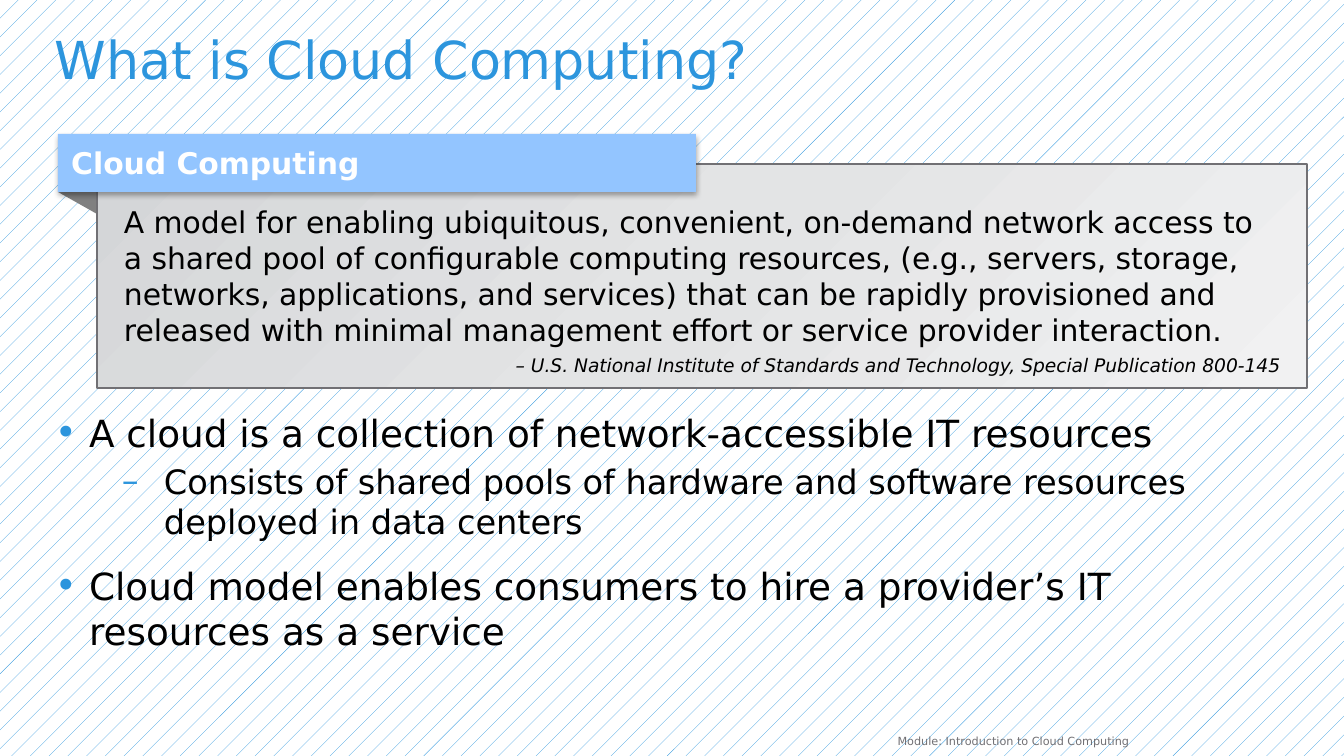
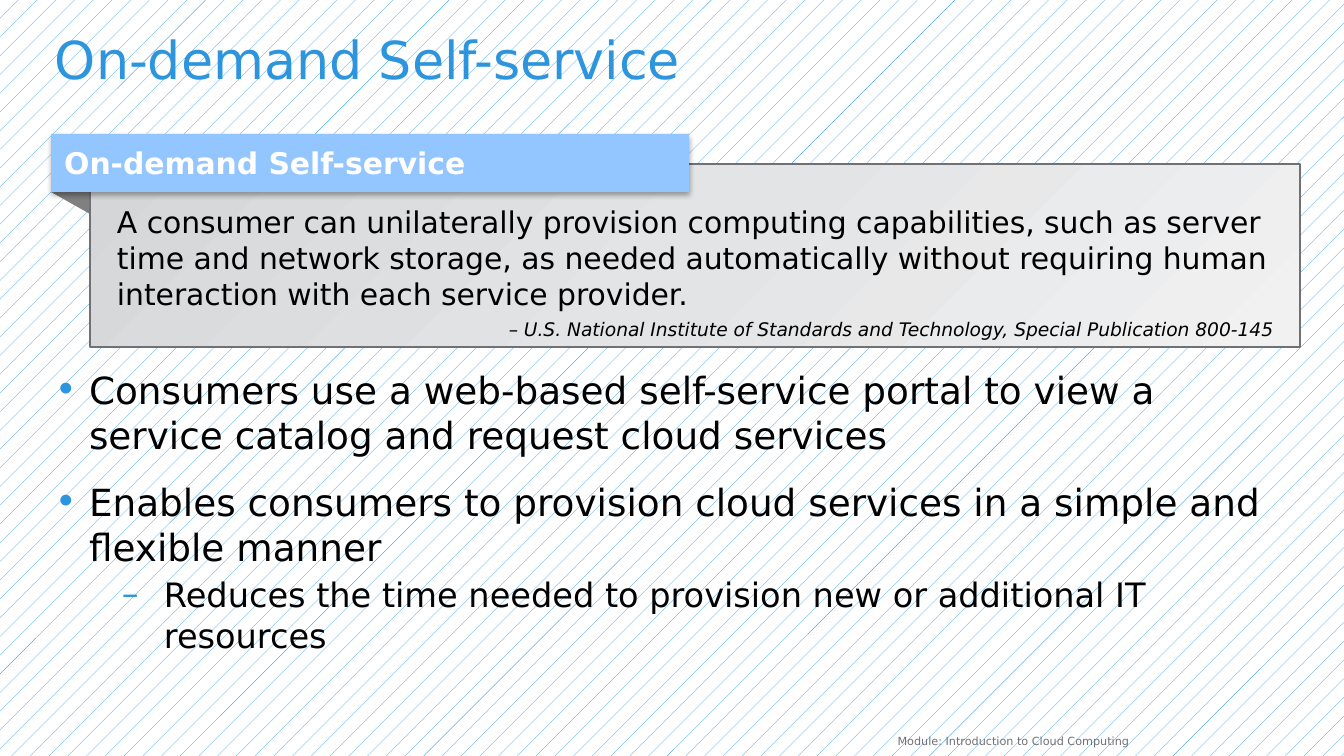
from dataclasses import dataclass

from lxml.etree import SubElement
from pptx import Presentation
from pptx.dml.color import RGBColor
from pptx.enum.dml import MSO_PATTERN
from pptx.enum.shapes import MSO_SHAPE
from pptx.enum.text import MSO_ANCHOR, MSO_AUTO_SIZE, PP_ALIGN
from pptx.oxml import parse_xml
from pptx.oxml.ns import nsdecls, qn
from pptx.util import Emu, Pt

SCALE = 914400 / 134.4
WIDE, HIGH = 1344, 756
FONT = "DejaVu Sans"
BLUE, SKY, WHITE, BLACK = "2C95DD", "93C5FF", "FFFFFF", "000000"
GRAY, FOLD = "717074", "808080"
FADE = ((0, "D4D6D8"), (50, "E3E4E5"), (100, "F1F1F2"))
SOURCE = ("– U.S. National Institute of Standards and Technology, "
          "Special Publication 800-145")
FOOTER = "Module: Introduction to Cloud Computing"
LEFT, SPAN = 55, 1243
TAB_TOP, TAB_WIDE, TAB_HIGH = 134, 638, 58
PANEL_TOP, PANEL_WIDE, SHIFT, DROP = 164, 1210, 39, 22


@dataclass(frozen=True)
class Style:
    """Look of one list level."""
    mark: str
    size: int
    left: int
    hang: int
    gap: int


@dataclass(frozen=True)
class Item:
    text: str
    level: int = 0


@dataclass(frozen=True)
class Quote:
    """Definition panel with a folded title tab."""
    head: str
    text: str
    left: int
    high: int


@dataclass(frozen=True)
class Page:
    title: str
    quote: Quote
    top: int
    high: int
    items: tuple[Item, ...]


STYLES = (Style("•", 20, 34, 34, 12), Style("–", 18, 109, 42, 3))

PAGES = (
    Page(
        "What is Cloud Computing?",
        Quote(
            "Cloud Computing",
            "A model for enabling ubiquitous, convenient, on-demand network "
            "access to a shared pool of configurable computing resources, "
            "(e.g., servers, storage, networks, applications, and services) "
            "that can be rapidly provisioned and released with minimal "
            "management effort or service provider interaction.",
            58, 224),
        410, 239,
        (Item("A cloud is a collection of network-accessible IT resources"),
         Item("Consists of shared pools of hardware and software resources "
              "deployed in data centers", 1),
         Item("Cloud model enables consumers to hire a provider’s IT "
              "resources as a service"))),
    Page(
        "On-demand Self-service",
        Quote(
            "On-demand Self-service",
            "A consumer can unilaterally provision computing capabilities, "
            "such as server time and network storage, as needed "
            "automatically without requiring human interaction with each "
            "service provider.",
            51, 183),
        367, 282,
        (Item("Consumers use a web-based self-service portal to view a "
              "service catalog and request cloud services"),
         Item("Enables consumers to provision cloud services in a simple "
              "and flexible manner"),
         Item("Reduces the time needed to provision new or additional IT "
              "resources", 1))),
)


def px(num: int) -> Emu:
    return Emu(round(num * SCALE))


def tint(code: str) -> RGBColor:
    return RGBColor.from_string(code)


def write(para, text: str, size: int, color: str, align=PP_ALIGN.LEFT,
          bold: bool = False, slant: bool = False) -> None:
    para.text = text
    para.alignment = align
    font = para.font
    font.name, font.size = FONT, Pt(size)
    font.bold, font.italic = bold, slant
    font.color.rgb = tint(color)


def inset(frame, left: int, top: int, right: int, low: int) -> None:
    frame.margin_left, frame.margin_top = px(left), px(top)
    frame.margin_right, frame.margin_bottom = px(right), px(low)


def place(holder, top: int, high: int):
    """Move a placeholder and return its plain, top-aligned frame."""
    holder.left, holder.top = px(LEFT), px(top)
    holder.width, holder.height = px(SPAN), px(high)
    frame = holder.text_frame
    frame.word_wrap = True
    frame.auto_size = MSO_AUTO_SIZE.NONE
    frame.vertical_anchor = MSO_ANCHOR.TOP
    inset(frame, 0, 0, 0, 0)
    return frame


def bullet(para, style: Style) -> None:
    props = para._p.get_or_add_pPr()
    props.set("marL", str(px(style.left)))
    props.set("indent", str(-px(style.hang)))
    color = SubElement(props, qn("a:buClr"))
    SubElement(color, qn("a:srgbClr"), val=BLUE)
    SubElement(props, qn("a:buFont"), typeface=FONT)
    SubElement(props, qn("a:buChar"), char=style.mark)


def fill_list(frame, items: tuple[Item, ...]) -> None:
    for num, item in enumerate(items):
        para = frame.add_paragraph() if num else frame.paragraphs[0]
        style = STYLES[item.level]
        para.level = item.level
        bullet(para, style)
        para.space_before = Pt(style.gap if num else 0)
        write(para, item.text, style.size, BLACK)


def add_rect(shapes, left: int, top: int, wide: int, high: int):
    rect = shapes.add_shape(MSO_SHAPE.RECTANGLE, px(left), px(top),
                            px(wide), px(high))
    rect.shadow.inherit = False
    rect.text_frame.word_wrap = True
    return rect


def fade(shape) -> None:
    """Fill a shape with the diagonal gray gradient."""
    stops = "".join(
        f'<a:gs pos="{pos * 1000}"><a:srgbClr val="{code}"/></a:gs>'
        for pos, code in FADE)
    grad = parse_xml(f'<a:gradFill {nsdecls("a")}><a:gsLst>{stops}</a:gsLst>'
                     '<a:lin ang="2700000" scaled="0"/></a:gradFill>')
    shape.element.spPr.find(qn("a:prstGeom")).addnext(grad)


def cast(shape) -> None:
    """Give a shape a soft shadow below it."""
    effect = shape.element.spPr.find(qn("a:effectLst"))
    outer = SubElement(effect, qn("a:outerShdw"), blurRad=str(Pt(3.1)),
                       dist=str(Pt(1.8)), dir="5400000", rotWithShape="0")
    color = SubElement(outer, qn("a:srgbClr"), val=BLACK)
    SubElement(color, qn("a:alpha"), val="35000")


def add_fold(shapes, left: int) -> None:
    top = TAB_TOP + TAB_HIGH
    path = shapes.build_freeform(px(left), px(top))
    path.add_line_segments([(px(left + SHIFT), px(top)),
                            (px(left + SHIFT), px(top + DROP))])
    fold = path.convert_to_shape()
    fold.shadow.inherit = False
    fold.fill.solid()
    fold.fill.fore_color.rgb = tint(FOLD)
    fold.line.fill.background()


def add_quote(slide, quote: Quote) -> None:
    shapes = slide.shapes.add_group_shape().shapes
    add_fold(shapes, quote.left)

    panel = add_rect(shapes, quote.left + SHIFT, PANEL_TOP,
                     PANEL_WIDE, quote.high)
    fade(panel)
    panel.line.color.rgb = tint(GRAY)
    panel.line.width = Pt(1)
    frame = panel.text_frame
    frame.vertical_anchor = MSO_ANCHOR.TOP
    inset(frame, 27, 40, 27, 7)
    write(frame.paragraphs[0], quote.text, 16, BLACK)
    credit = frame.add_paragraph()
    credit.space_before = Pt(3.5)
    write(credit, SOURCE, 10, BLACK, PP_ALIGN.RIGHT, slant=True)

    tab = add_rect(shapes, quote.left, TAB_TOP, TAB_WIDE, TAB_HIGH)
    tab.fill.solid()
    tab.fill.fore_color.rgb = tint(SKY)
    tab.line.fill.background()
    cast(tab)
    tab.text_frame.vertical_anchor = MSO_ANCHOR.MIDDLE
    write(tab.text_frame.paragraphs[0], quote.head, 16, WHITE, bold=True)


def add_footer(slide) -> None:
    box = slide.shapes.add_textbox(px(380), px(728), px(762), px(20))
    box.text_frame.word_wrap = True
    write(box.text_frame.paragraphs[0], FOOTER, 6, GRAY, PP_ALIGN.RIGHT)


def add_page(deck, page: Page) -> None:
    slide = deck.slides.add_slide(deck.slide_layouts[1])
    back = slide.background.fill
    back.patterned()
    back.pattern = MSO_PATTERN.PERCENT_5
    back.fore_color.rgb = tint(BLUE)
    back.back_color.rgb = tint(WHITE)

    title = place(slide.shapes.title, 34, 67).paragraphs[0]
    title.line_spacing = 0.9
    write(title, page.title, 28, BLUE)
    fill_list(place(slide.placeholders[1], page.top, page.high), page.items)
    add_footer(slide)
    add_quote(slide, page.quote)


def main() -> None:
    deck = Presentation()
    deck.slide_width, deck.slide_height = px(WIDE), px(HIGH)
    for page in PAGES:
        add_page(deck, page)
    deck.save("out.pptx")


if __name__ == "__main__":
    main()
